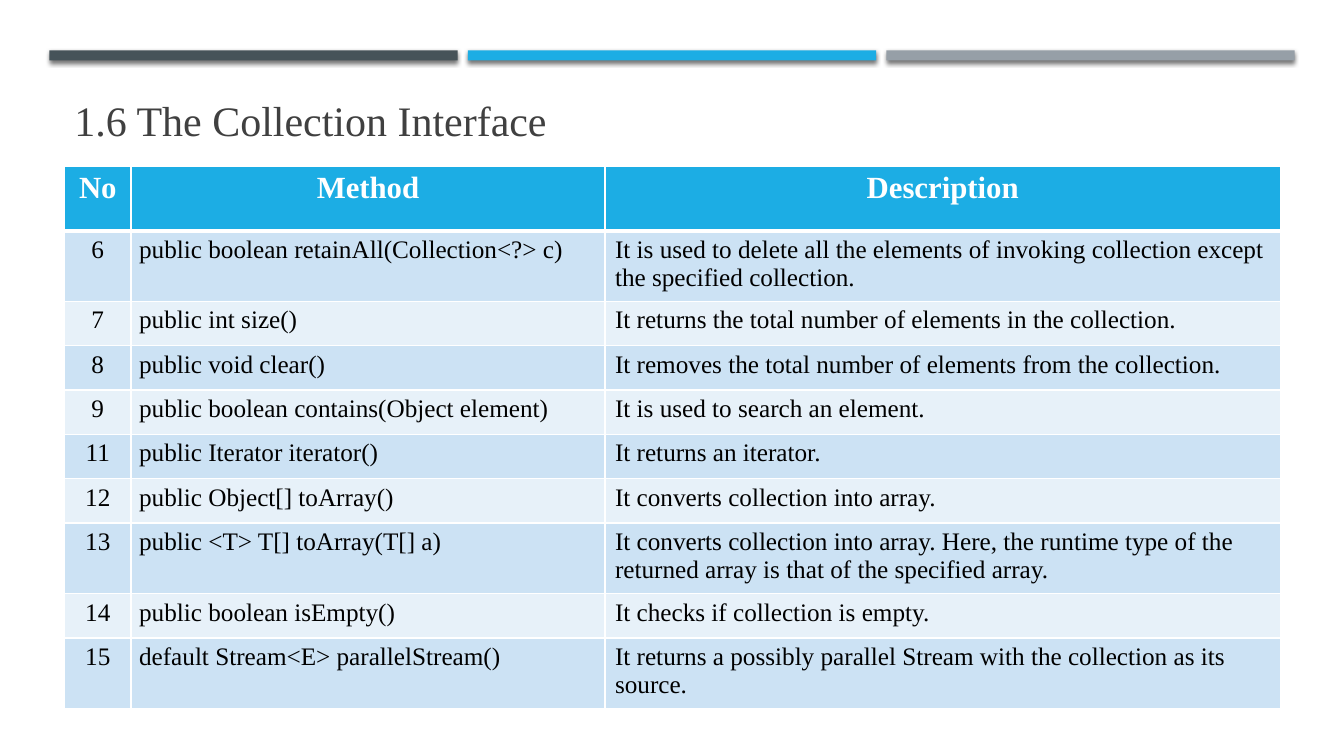
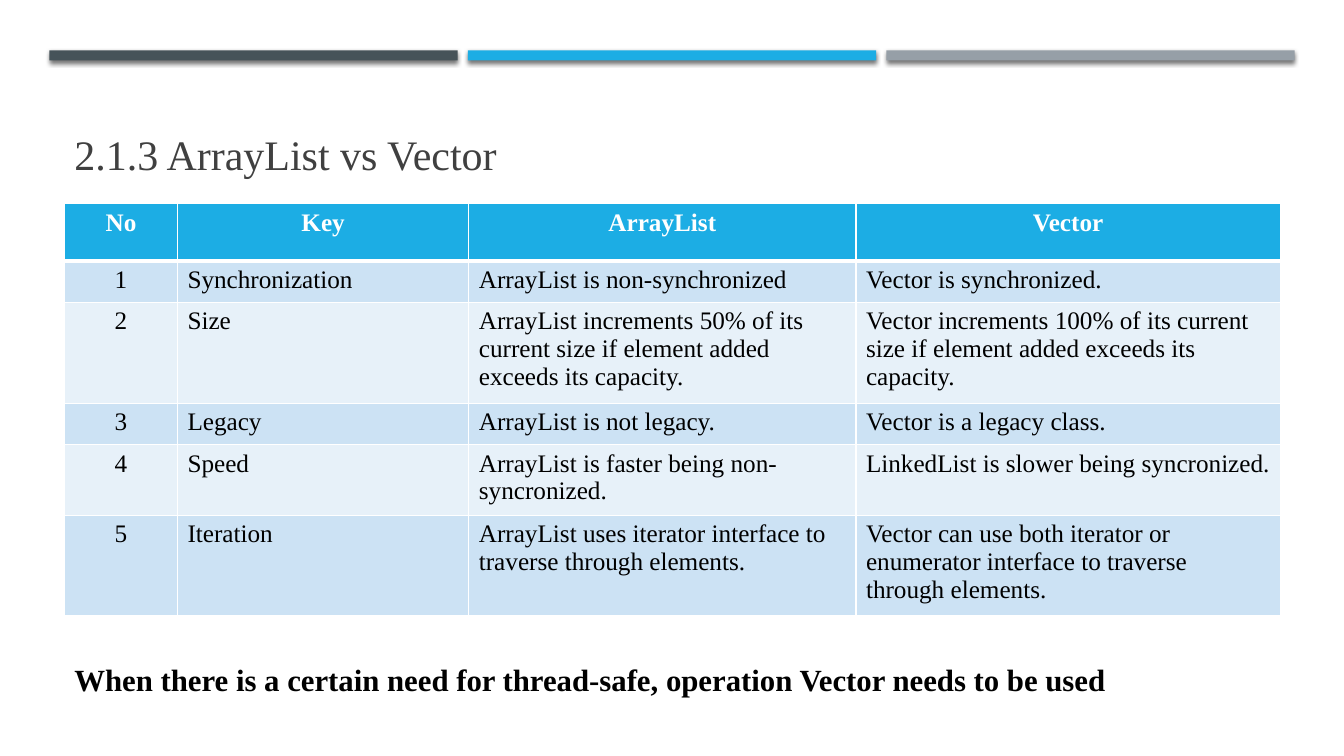
from dataclasses import dataclass

from lxml import etree
from pptx import Presentation
from pptx.dml.color import RGBColor
from pptx.enum.shapes import MSO_SHAPE
from pptx.enum.text import MSO_ANCHOR, PP_ALIGN
from pptx.oxml.ns import qn
from pptx.util import Pt

RECT = MSO_SHAPE.RECTANGLE
TOP, BOTTOM = MSO_ANCHOR.TOP, MSO_ANCHOR.BOTTOM
LEFT, CENTER, JUSTIFY = PP_ALIGN.LEFT, PP_ALIGN.CENTER, PP_ALIGN.JUSTIFY
EMU_PER_PX = 9144
MARGIN = 64
CONTENT_W = 1206


@dataclass(frozen=True)
class Theme:
    font: str = "Times New Roman"
    title: str = "404040"
    text: str = "000000"
    white: str = "FFFFFF"
    accent: str = "1CADE4"
    bars: tuple = ("465359", "1CADE4", "969FA7")
    bands: tuple = ("CCE2F4", "E7F1F9")
    title_size: int = 30
    large_size: int = 22
    body_size: int = 18
    thin: float = 0.96
    thick: float = 3


THEME = Theme()

METHODS = [
    ("No", "Method", "Description"),
    ("6", "public boolean retainAll(Collection<?> c)",
     "It is used to delete all the elements of invoking collection except the specified collection."),
    ("7", "public int size()", "It returns the total number of elements in the collection."),
    ("8", "public void clear()", "It removes the total number of elements from the collection."),
    ("9", "public boolean contains(Object element)", "It is used to search an element."),
    ("11", "public Iterator iterator()", "It returns an iterator."),
    ("12", "public Object[] toArray()", "It converts collection into array."),
    ("13", "public <T> T[] toArray(T[] a)",
     "It converts collection into array. Here, the runtime type of the returned array "
     "is that of the specified array."),
    ("14", "public boolean isEmpty()", "It checks if collection is empty."),
    ("15", "default Stream<E> parallelStream()",
     "It returns a possibly parallel Stream with the collection as its source."),
]

COMPARISON = [
    ("No", "Key", "ArrayList", "Vector"),
    ("1", "Synchronization", "ArrayList is non-synchronized", "Vector is synchronized."),
    ("2", "Size",
     "ArrayList increments 50% of its current size if element added exceeds its capacity.",
     "Vector increments 100% of its current size if element added exceeds its capacity."),
    ("3", "Legacy", "ArrayList is not legacy.", "Vector is a legacy class."),
    ("4", "Speed", "ArrayList is faster being non-syncronized.",
     "LinkedList is slower being syncronized."),
    ("5", "Iteration", "ArrayList uses iterator interface to traverse through elements.",
     "Vector can use both iterator or enumerator interface to traverse through elements."),
]


def px(n):
    return n * EMU_PER_PX


def box(x, y, w, h):
    return px(x), px(y), px(w), px(h)


def rgb(color):
    return RGBColor.from_string(color)


def write(tf, text, size, color, bold=False, align=LEFT):
    p = tf.paragraphs[0]
    p.text = text
    p.alignment = align
    p.font.name = THEME.font
    p.font.size = Pt(size)
    p.font.bold = bold
    p.font.color.rgb = rgb(color)


def add_text(s, bounds, text, size, color, bold=False, anchor=TOP):
    tf = s.shapes.add_textbox(*box(*bounds)).text_frame
    tf.word_wrap = True
    tf.vertical_anchor = anchor
    write(tf, text, size, color, bold)


def add_shadow(sp):
    sp.shadow.inherit = False
    effects = sp._element.spPr.find(qn("a:effectLst"))
    shadow = etree.SubElement(effects, qn("a:outerShdw"), blurRad=str(Pt(3)),
                              dist=str(Pt(2)), dir="5400000", rotWithShape="0")
    color = etree.SubElement(shadow, qn("a:srgbClr"), val=THEME.text)
    etree.SubElement(color, qn("a:alpha"), val="55000")


def add_bars(s):
    width, gap = 405, 10
    for i, color in enumerate(THEME.bars):
        sp = s.shapes.add_shape(RECT, *box(49 + i * (width + gap), 50, width, 10))
        sp.fill.solid()
        sp.fill.fore_color.rgb = rgb(color)
        sp.line.fill.background()
        add_shadow(sp)


def set_borders(cell, row):
    thick_sides = {0: "B", 1: "T"}
    tc_pr = cell._tc.get_or_add_tcPr()
    for side in "LRTB":
        width = THEME.thick if side == thick_sides.get(row) else THEME.thin
        ln = etree.SubElement(tc_pr, qn(f"a:ln{side}"), w=str(Pt(width)))
        fill = etree.SubElement(ln, qn("a:solidFill"))
        etree.SubElement(fill, qn("a:srgbClr"), val=THEME.white)


def add_table(s, top, rows, widths, heights, aligns, header_size):
    frame = s.shapes.add_table(len(rows), len(widths),
                               *box(MARGIN, top, CONTENT_W, sum(heights)))
    table = frame.table
    for column, width in zip(table.columns, widths):
        column.width = px(width)
    for r, (values, height) in enumerate(zip(rows, heights)):
        table.rows[r].height = px(height)
        header = r == 0
        for c, (value, align) in enumerate(zip(values, aligns)):
            cell = table.cell(r, c)
            set_borders(cell, r)
            cell.fill.solid()
            cell.fill.fore_color.rgb = rgb(THEME.accent if header else THEME.bands[(r - 1) % 2])
            if header:
                write(cell.text_frame, value, header_size, THEME.white, True, CENTER)
                continue
            write(cell.text_frame, value, THEME.body_size, THEME.text, align=align)
            if align == JUSTIFY:
                cell.margin_left = cell.margin_right = px(8)


def add_slide(prs, title, title_top, title_height):
    s = prs.slides.add_slide(prs.slide_layouts[6])
    add_bars(s)
    add_text(s, (MARGIN, title_top, CONTENT_W, title_height), title,
             THEME.title_size, THEME.title, anchor=BOTTOM)
    return s


def main():
    prs = Presentation()
    prs.slide_width, prs.slide_height = px(1333), px(750)

    s = add_slide(prs, "1.6 The Collection Interface", 60, 89)
    add_table(s, 165, METHODS, (66, 470, 670),
              (64, 70, 44, 44, 44, 44, 44, 70, 44, 70),
              (CENTER, JUSTIFY, LEFT), THEME.large_size)

    s = add_slide(prs, "2.1.3 ArrayList vs Vector", 52, 130)
    add_table(s, 202, COMPARISON, (112, 289, 384, 421),
              (57, 41, 100, 41, 70, 99),
              (CENTER, LEFT, LEFT, LEFT), THEME.body_size)
    add_text(s, (MARGIN, 651, 1174, 47),
             "When there is a certain need for thread-safe, operation Vector needs to be used",
             THEME.large_size, THEME.text, bold=True)

    prs.save("out.pptx")


if __name__ == "__main__":
    main()
